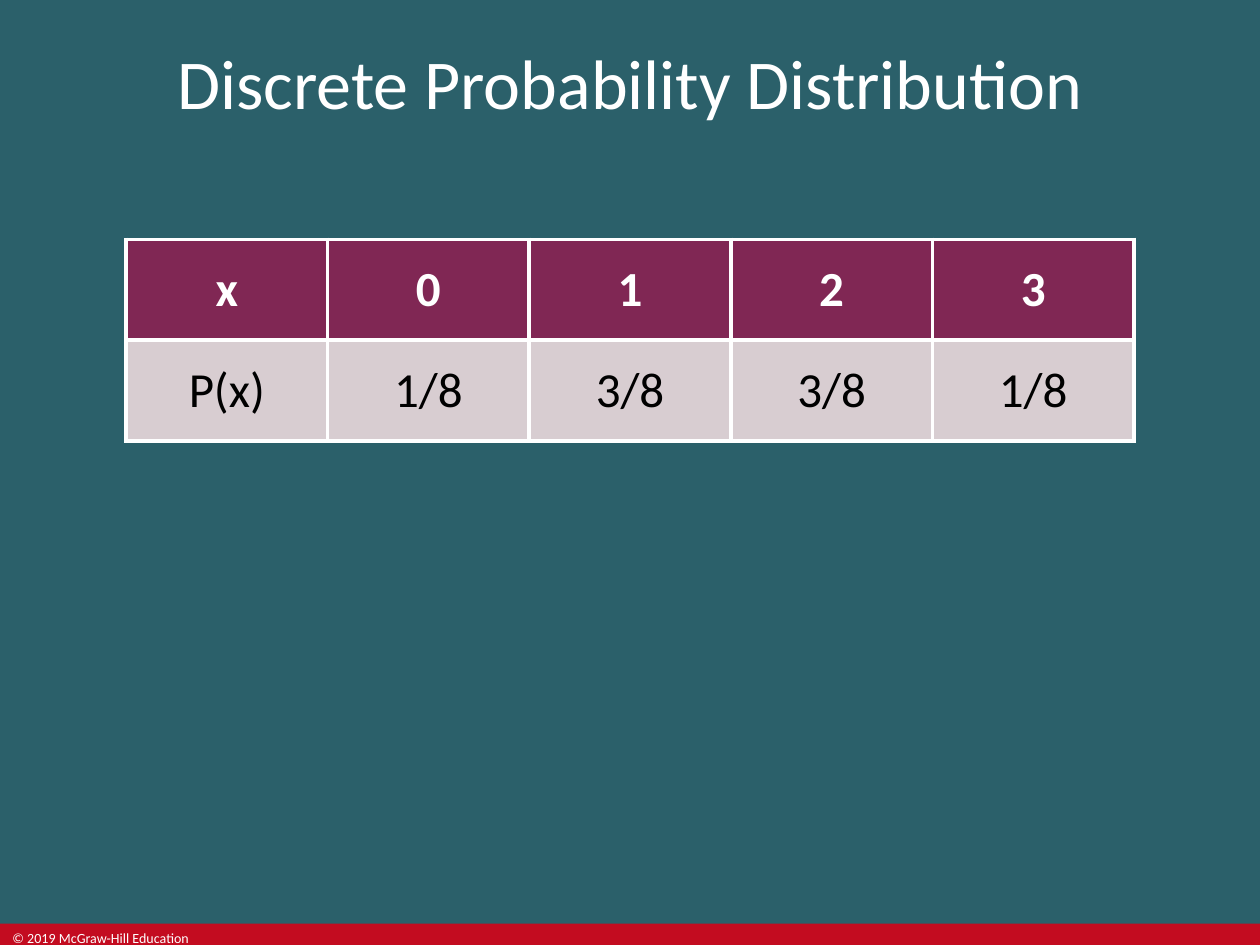
import pptx
import pptx.dml.color
import pptx.enum.shapes
import pptx.enum.text
import pptx.oxml
import pptx.util
from pptx.util import Inches

ALIGN = pptx.enum.text.PP_ALIGN
ANCHOR = pptx.enum.text.MSO_ANCHOR
WHITE = "FFFFFF"
BORDER_SIDES = ("lnL", "lnR", "lnT", "lnB")


def color(hex_string):
    return pptx.dml.color.RGBColor.from_string(hex_string)


def paint(item, hex_string):
    item.fill.solid()
    item.fill.fore_color.rgb = color(hex_string)


def write(frame, text, size, ink=WHITE, bold=False, align=ALIGN.CENTER):
    paragraph = frame.paragraphs[0]
    paragraph.alignment = align
    span = paragraph.add_run()
    span.text = text
    span.font.name = "Calibri"
    span.font.size = pptx.util.Pt(size)
    span.font.bold = bold
    span.font.color.rgb = color(ink)


def outline_cell(cell, hex_string, width):
    properties = cell._tc.get_or_add_tcPr()
    for index, side in enumerate(BORDER_SIDES):
        line = pptx.oxml.parse_xml(
            f'<a:{side} xmlns:a="http://schemas.openxmlformats.org/drawingml/2006/main"'
            f' w="{pptx.util.Pt(width)}"><a:solidFill><a:srgbClr val="{hex_string}"/>'
            f'</a:solidFill></a:{side}>')
        properties.insert(index, line)


class SlideBuilder:
    """Holds the colours and the slide being built."""
    background = "2B606A"
    band = "C30C20"
    row_styles = (
        {"fill": "802754", "ink": WHITE, "bold": True},
        {"fill": "D8CDD1", "ink": "000000", "bold": False},
    )

    def __init__(self, page):
        self.page = page
        paint(page.background, self.background)

    def title(self, text, left, top, width, height):
        box = self.page.shapes.title
        box.left, box.top = Inches(left), Inches(top)
        box.width, box.height = Inches(width), Inches(height)
        box.text_frame.vertical_anchor = ANCHOR.MIDDLE
        write(box.text_frame, text, 40)

    def footer(self, text, top, height, band_width, text_width):
        band = self.page.shapes.add_shape(
            pptx.enum.shapes.MSO_SHAPE.RECTANGLE,
            0, Inches(top), Inches(band_width), Inches(height))
        band.shadow.inherit = False
        paint(band, self.band)
        band.line.fill.background()
        box = self.page.shapes.add_textbox(
            0, Inches(top), Inches(text_width), Inches(height))
        box.text_frame.word_wrap = True
        write(box.text_frame, text, 8, align=ALIGN.LEFT)

    def table(self, rows, left, top, width, height):
        table = self.page.shapes.add_table(
            len(rows), len(rows[0]), Inches(left), Inches(top),
            Inches(width), Inches(height)).table
        for row, (values, style) in enumerate(zip(rows, self.row_styles)):
            for column, value in enumerate(values):
                cell = table.cell(row, column)
                paint(cell, style["fill"])
                outline_cell(cell, WHITE, 2.25)
                cell.vertical_anchor = ANCHOR.MIDDLE
                write(cell.text_frame, value, 28, style["ink"], style["bold"])


def main():
    deck = pptx.Presentation()
    deck.slide_width, deck.slide_height = Inches(10), Inches(7.5)
    title_only = deck.slide_layouts[5]
    builder = SlideBuilder(deck.slides.add_slide(title_only))
    builder.footer("© 2019 McGraw-Hill Education", 7.33, 0.17,
                   band_width=10, text_width=1.7)
    builder.title("Discrete Probability Distribution", 0, 0, 10, 1.3)
    builder.table([["x", "0", "1", "2", "3"],
                   ["P(x)", "1/8", "3/8", "3/8", "1/8"]], 1, 1.9, 8, 1.6)
    deck.save("out.pptx")


if __name__ == "__main__":
    main()
